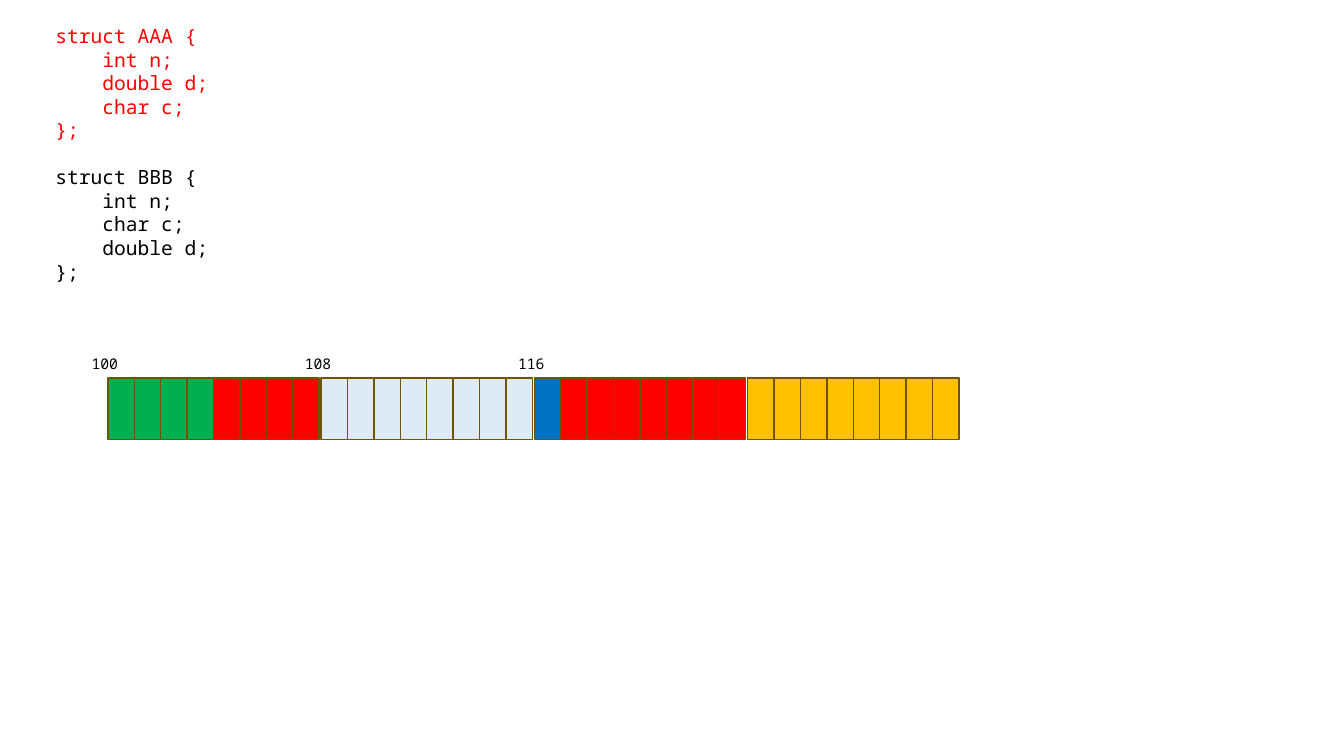
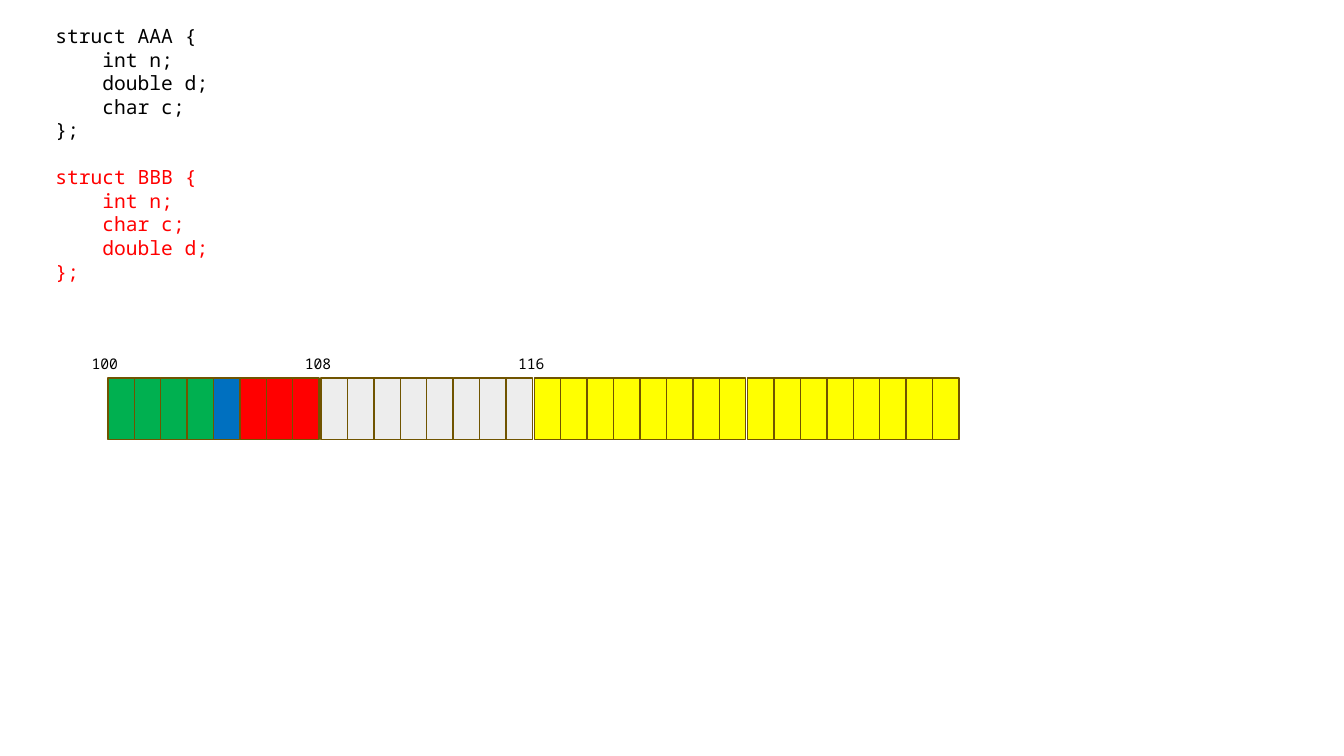
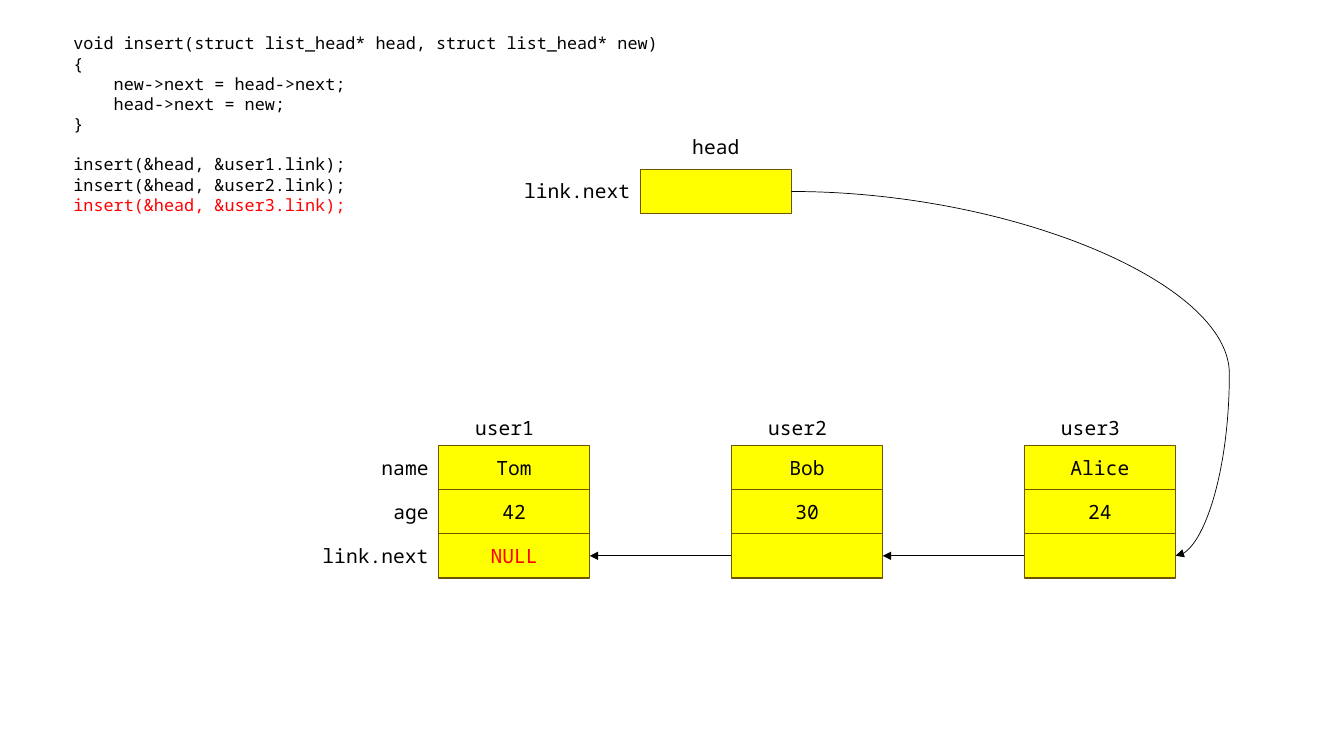
from pptx import Presentation
from pptx.dml.color import RGBColor
from pptx.enum.shapes import MSO_CONNECTOR, MSO_SHAPE
from pptx.enum.text import MSO_ANCHOR, MSO_AUTO_SIZE, PP_ALIGN
from pptx.oxml.ns import qn
from pptx.util import Inches, Pt
from lxml.etree import SubElement

BLACK = RGBColor(0x00, 0x00, 0x00)
RED = RGBColor(0xFF, 0x00, 0x00)
GREEN = RGBColor(0x00, 0xB0, 0x50)
BLUE = RGBColor(0x00, 0x70, 0xC0)
PALE_BLUE = RGBColor(0xDE, 0xEB, 0xF7)
GRAY = RGBColor(0xED, 0xED, 0xED)
AMBER = RGBColor(0xFF, 0xC0, 0x00)
YELLOW = RGBColor(0xFF, 0xFF, 0x00)
OUTLINE = RGBColor(0x70, 0x54, 0x00)


def grid(cells):
    """Length of a number of grid cells, ten to the inch."""
    return Inches(cells / 10)


class Deck:
    FONT = "Noto Sans Mono"
    LINE_HEIGHT = 1.2
    INDENT = 4
    CHAR_WIDTH = 0.6

    def __init__(self):
        self.deck = Presentation()
        self.deck.slide_width, self.deck.slide_height = Inches(13.33), Inches(7.5)
        self.slide = None

    def new_slide(self):
        self.slide = self.deck.slides.add_slide(self.deck.slide_layouts[6])

    def style(self, paragraph, size, color=BLACK, align=PP_ALIGN.LEFT):
        paragraph.alignment = align
        paragraph.line_spacing = Pt(size * self.LINE_HEIGHT)
        for run in paragraph.runs:
            run.font.name = self.FONT
            run.font.size = Pt(size)
            run.font.color.rgb = color

    def text_frame(self, left, top, width, height):
        box = self.slide.shapes.add_textbox(*map(grid, (left, top, width, height)))
        frame = box.text_frame
        frame.word_wrap = True
        frame.auto_size = MSO_AUTO_SIZE.SHAPE_TO_FIT_TEXT
        return frame

    def label(self, left, top, width, text, size=14, align=PP_ALIGN.CENTER):
        frame = self.text_frame(left, top, width, 1 + size * 0.17)
        frame.text = text
        self.style(frame.paragraphs[0], size, align=align)

    def code(self, left, top, width, height, size, blocks, red_lines):
        """Blocks of code, one line apart; leading spaces become an indent."""
        frame = self.text_frame(left, top, width, height)
        lines = [(line, number == 0 and block > 0)
                 for block, content in enumerate(blocks)
                 for number, line in enumerate(content)]
        for index, (line, starts_block) in enumerate(lines):
            paragraph = frame.paragraphs[0] if index == 0 else frame.add_paragraph()
            paragraph.text = line.lstrip()
            self.style(paragraph, size, RED if index in red_lines else BLACK)
            if line.startswith(" "):
                indent = Pt(size * self.CHAR_WIDTH * self.INDENT)
                paragraph._p.get_or_add_pPr().set("marL", str(indent))
            if starts_block:
                paragraph.space_before = Pt(size * self.LINE_HEIGHT)

    def cell(self, left, top, width, height, fill, text="", color=BLACK):
        cell = self.slide.shapes.add_shape(
            MSO_SHAPE.RECTANGLE, *map(grid, (left, top, width, height)))
        cell.shadow.inherit = False
        cell.fill.solid()
        cell.fill.fore_color.rgb = fill
        cell.line.color.rgb = OUTLINE
        cell.line.width = Pt(1)
        if text:
            cell.text_frame.text = text
            cell.text_frame.vertical_anchor = MSO_ANCHOR.MIDDLE
            self.style(cell.text_frame.paragraphs[0], 14, color, PP_ALIGN.CENTER)
        return cell

    def arrow(self, source, source_side, target, target_side, bend=None):
        kind = MSO_CONNECTOR.STRAIGHT if bend is None else MSO_CONNECTOR.CURVE
        arrow = self.slide.shapes.add_connector(kind, 0, 0, 0, 0)
        arrow.begin_connect(source, source_side)
        arrow.end_connect(target, target_side)
        arrow.line.color.rgb = BLACK
        arrow.line.width = Pt(0.5)
        properties = arrow._element.spPr
        SubElement(properties.find(qn("a:ln")), qn("a:tailEnd"), type="triangle")
        SubElement(properties, qn("a:effectLst"))
        if bend is not None:
            adjustments = properties.find(qn("a:prstGeom")).get_or_add_avLst()
            SubElement(adjustments, qn("a:gd"), name="adj1",
                       fmla=f"val {round(bend * 100000)}")


STRUCTS = [
    ["struct AAA {", "    int n;", "    double d;", "    char c;", "};"],
    ["struct BBB {", "    int n;", "    char c;", "    double d;", "};"],
]
INSERT_CODE = [
    ["void insert(struct list_head* head, struct list_head* new)", "{",
     "    new->next = head->next;", "    head->next = new;", "}"],
    [f"insert(&head, &user{number}.link);" for number in (1, 2, 3)],
]
# Colours of the 32 bytes, as runs
AAA_BYTES = [GREEN] * 4 + [RED] * 4 + [PALE_BLUE] * 8 + [BLUE] + [RED] * 7 + [AMBER] * 8
BBB_BYTES = [GREEN] * 4 + [BLUE] + [RED] * 3 + [GRAY] * 8 + [YELLOW] * 16
USERS = [("user1", "Tom", "42", "NULL"),
         ("user2", "Bob", "30", ""),
         ("user3", "Alice", "24", "")]
FIELDS = ["name", "age", "link.next"]


def memory_slide(deck, red_lines, byte_colors):
    word_bytes, word_pitch, byte_width = 8, 21.15, 2.62
    deck.new_slide()
    deck.code(4.5, 1.9, 43.8, 26.9, 14, STRUCTS, red_lines)
    for index, color in enumerate(byte_colors):
        word, byte = divmod(index, word_bytes)
        deck.cell(10.7 + word * word_pitch + byte * byte_width, 37.5,
                  byte_width, 6.1, color)
    for word, address in enumerate(("100", "108", "116")):
        deck.label(8.1 + word * word_pitch, 34.7, 8.6, address, 10.5, PP_ALIGN.LEFT)


def linked_list_slide(deck):
    width, height, row_pitch, user_pitch = 15, 4.4, 4.37, 29.05
    first_left, first_top, field_width = 43.5, 44.2, 14
    deck.new_slide()
    deck.code(6.3, 2.8, 67.3, 19.2, 12, INSERT_CODE, [7])

    # Users and their fields
    links = []
    for column, (user, *values) in enumerate(USERS):
        left = first_left + column * user_pitch
        for row, value in enumerate(values):
            link = deck.cell(left, first_top + row * row_pitch, width, height, YELLOW,
                             value, RED if value == "NULL" else BLACK)
        links.append(link)
        deck.label(left + 1.15, 40.8, 10.8, user)
    for row, field in enumerate(FIELDS):
        deck.label(first_left - field_width, first_top + 0.5 + row * row_pitch,
                   field_width, field, align=PP_ALIGN.RIGHT)

    # List head
    head = deck.cell(63.5, 16.8, width, height, YELLOW)
    deck.label(63.5 - field_width, 17.3, field_width, "link.next", align=PP_ALIGN.RIGHT)
    deck.label(65.6, 12.9, 10.8, "head")

    # Links, from the head back to the first user
    deck.arrow(head, 3, links[-1], 3, bend=1.14)
    for target, source in zip(links, links[1:]):
        deck.arrow(source, 1, target, 3)


def main():
    deck = Deck()
    memory_slide(deck, range(0, 5), AAA_BYTES)
    memory_slide(deck, range(5, 10), BBB_BYTES)
    linked_list_slide(deck)
    deck.deck.save("out.pptx")


if __name__ == "__main__":
    main()
